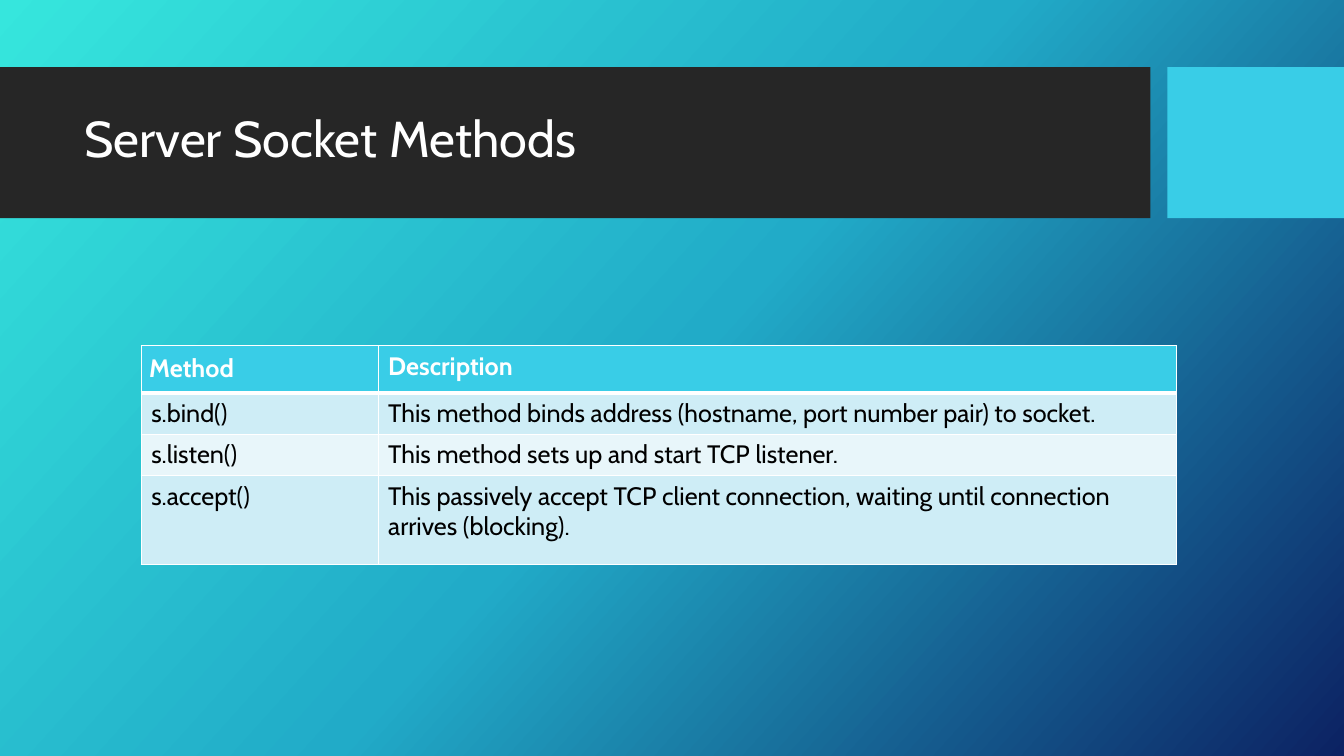
from copy import deepcopy
from dataclasses import dataclass

from lxml import etree
from pptx import Presentation
from pptx.dml.color import RGBColor
from pptx.enum.shapes import MSO_SHAPE
from pptx.enum.text import MSO_ANCHOR
from pptx.oxml.ns import qn
from pptx.util import Cm, Pt

RECTANGLE = MSO_SHAPE.RECTANGLE
TOP = MSO_ANCHOR.TOP
MIDDLE = MSO_ANCHOR.MIDDLE


@dataclass(frozen=True)
class Theme:
    """Holds the colours, font and type sizes of the deck."""
    backdrop: tuple = ("36E6DD", "21ABC8", "0C2263")
    backdrop_angle: int = 42
    band: str = "262626"
    accent: str = "39CDE7"
    stripes: tuple = ("CEEDF6", "E8F6FA")
    light: str = "FFFFFF"
    dark: str = "000000"
    font: str = "Cabin"
    title_size: int = 36
    table_size: int = 18
    rule: int = 1
    header_rule: int = 3


@dataclass(frozen=True)
class Box:
    """Holds a region in centimetres."""
    left: float
    top: float
    width: float
    height: float

    def lengths(self):
        """Return the four sides as slide lengths."""
        return Cm(self.left), Cm(self.top), Cm(self.width), Cm(self.height)


THEME = Theme()
PAGE = Box(0, 0, 33.87, 19.05)
METHODS = (
    ("Method", "Description"),
    ("s.bind()", "This method binds address (hostname, port number pair) to socket."),
    ("s.listen()", "This method sets up and start TCP listener."),
    ("s.accept()", "This passively accept TCP client connection, waiting until "
                   "connection arrives (blocking)."),
)


def add_span(para, text, size, color, bold=False):
    """Add one styled run to a paragraph."""
    span = para.add_run()
    span.text = text
    span.font.name = THEME.font
    span.font.size = Pt(size)
    span.font.bold = bold
    span.font.color.rgb = RGBColor.from_string(color)


def paint_backdrop(page):
    """Fill the page with an evenly spaced diagonal gradient."""
    fill = page.background.fill
    fill.gradient()
    fill.gradient_angle = 360 - THEME.backdrop_angle
    stop_list = page.element.find(".//" + qn("a:gsLst"))
    stop_list.insert(1, deepcopy(stop_list[0]))
    for index, (stop, color) in enumerate(zip(fill.gradient_stops, THEME.backdrop)):
        stop.position = index / (len(THEME.backdrop) - 1)
        stop.color.rgb = RGBColor.from_string(color)


def add_block(page, box, color):
    """Add a plain filled rectangle."""
    block = page.shapes.add_shape(RECTANGLE, *box.lengths())
    block.shadow.inherit = False
    block.fill.solid()
    block.fill.fore_color.rgb = RGBColor.from_string(color)
    block.line.fill.background()


def add_title_band(page, box, title):
    """Add the dark band with its title and the accent block at its end."""
    accent_width, gap = 4.45, 0.43
    band_width = box.width - accent_width - gap
    add_block(page, Box(box.left, box.top, band_width, box.height), THEME.band)
    add_block(page, Box(box.left + band_width + gap, box.top, accent_width, box.height),
              THEME.accent)
    title_box = Box(box.left + 1.88, box.top + 0.38, 26.7, 3)
    frame = page.shapes.add_textbox(*title_box.lengths()).text_frame
    frame.word_wrap = True
    frame.vertical_anchor = MIDDLE
    para = frame.paragraphs[0]
    para.line_spacing = 0.9
    add_span(para, title, THEME.title_size, THEME.light)


def set_borders(cell, bottom_width):
    """Draw white rules on all four sides of a cell."""
    properties = cell._tc.get_or_add_tcPr()
    for index, side in enumerate(("lnL", "lnR", "lnT", "lnB")):
        width = bottom_width if side == "lnB" else THEME.rule
        line = etree.Element(qn("a:" + side), w=str(Pt(width)))
        solid = etree.SubElement(line, qn("a:solidFill"))
        etree.SubElement(solid, qn("a:srgbClr"), val=THEME.light)
        properties.insert(index, line)


def fill_cell(cell, text, row_index):
    """Write and style one cell as header or striped body."""
    header = row_index == 0
    color = THEME.accent if header else THEME.stripes[(row_index - 1) % 2]
    cell.fill.solid()
    cell.fill.fore_color.rgb = RGBColor.from_string(color)
    cell.vertical_anchor = TOP
    add_span(cell.text_frame.paragraphs[0], text, THEME.table_size,
             THEME.light if header else THEME.dark, header)
    set_borders(cell, THEME.header_rule if header else THEME.rule)


def add_method_table(page, box, rows):
    """Add the table of methods and their descriptions."""
    table = page.shapes.add_table(len(rows), len(rows[0]), *box.lengths()).table
    name_width = 5.97
    for column, width in zip(table.columns, (name_width, box.width - name_width)):
        column.width = Cm(width)
    upper_heights = (1.2, 1.04, 1.04)
    for row, height in zip(table.rows, (*upper_heights, box.height - sum(upper_heights))):
        row.height = Cm(height)
    for row_index, texts in enumerate(rows):
        for column_index, text in enumerate(texts):
            fill_cell(table.cell(row_index, column_index), text, row_index)
    corner = table.cell(0, 0)
    corner.margin_left = corner.margin_right = Cm(0.2)
    corner.margin_top = corner.margin_bottom = Cm(0.2)


def build_deck():
    """Build the one-page deck and save it."""
    deck = Presentation()
    deck.slide_width, deck.slide_height = Cm(PAGE.width), Cm(PAGE.height)
    page = deck.slides.add_slide(deck.slide_layouts[6])
    paint_backdrop(page)
    add_title_band(page, Box(0, 1.69, PAGE.width, 3.81), "Server Socket Methods")
    add_method_table(page, Box(3.56, 8.71, 26.09, 5.52), METHODS)
    deck.save("out.pptx")


build_deck()
